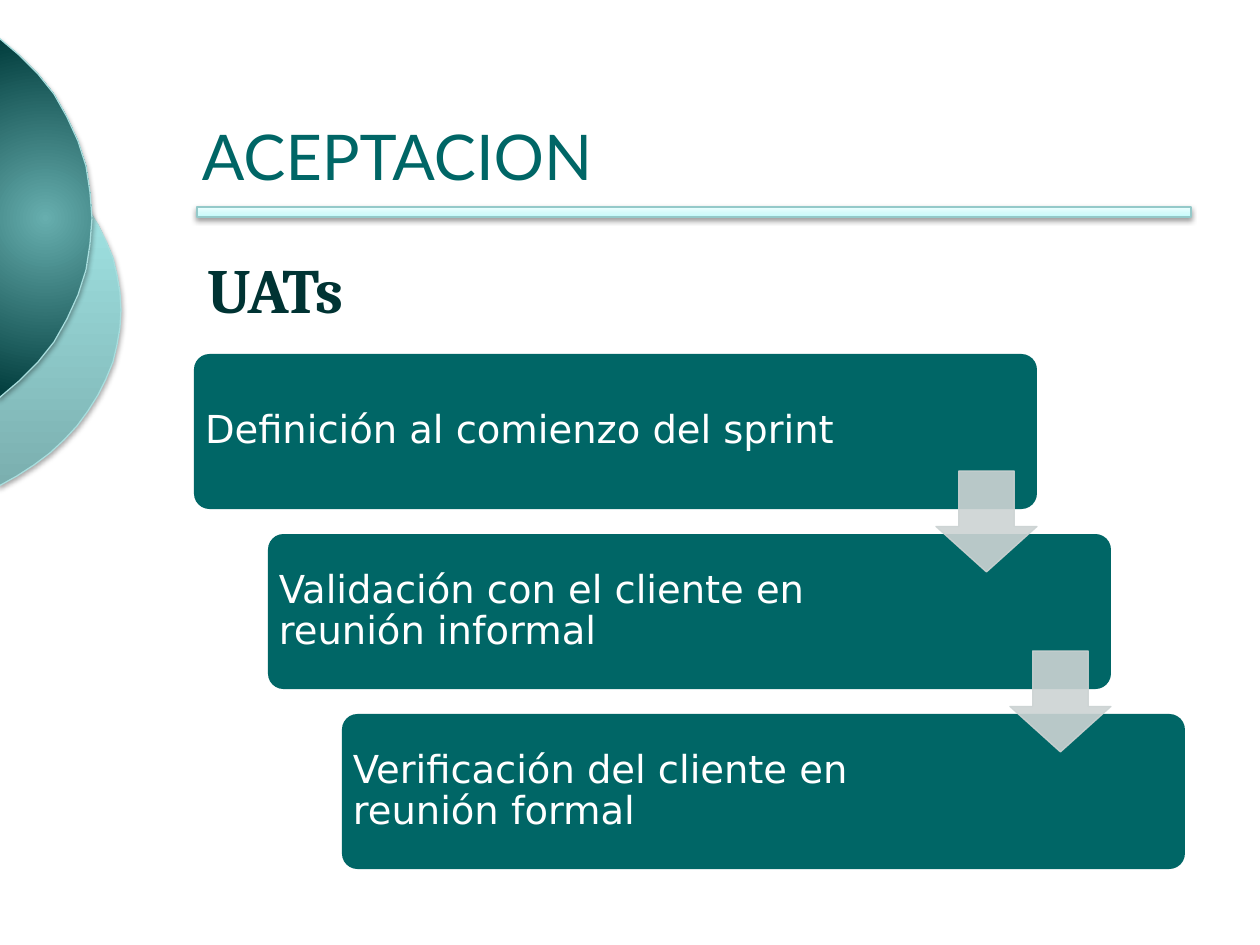
from dataclasses import dataclass
from math import asin, cos, sin

from lxml import etree
from pptx import Presentation
from pptx.dml.color import RGBColor
from pptx.enum.shapes import MSO_SHAPE
from pptx.enum.text import MSO_ANCHOR
from pptx.oxml.ns import qn
from pptx.util import Pt

RECT, ROUND, DOWN = MSO_SHAPE.RECTANGLE, MSO_SHAPE.ROUNDED_RECTANGLE, MSO_SHAPE.DOWN_ARROW
TOP, MID, LOW = MSO_ANCHOR.TOP, MSO_ANCHOR.MIDDLE, MSO_ANCHOR.BOTTOM
SCALE = 914400 / 126


@dataclass(frozen=True)
class Theme:
    teal: str = "006666"
    ink: str = "003333"
    white: str = "FFFFFF"
    gray: str = "CCD3D3"
    edge: str = "A8DEDE"
    rim: str = "94C9C9"
    shade: str = "000000"
    moon: tuple = ((0, "7BAFAF"), (80, "A0E3E3"), (100, "9FE5E5"))
    ball: tuple = ((0, "67AEAE"), (100, "003C3C"))
    rule: tuple = ((0, "C1FBFB"), (35, "D3FBFB"), (100, "EDFFFF"))
    head: int = 36
    body: int = 22
    thin: float = 0.75


THEME = Theme()
STEPS = (
    ("Definición al comienzo del sprint", 685),
    ("Validación con el cliente en reunión informal", 668),
    ("Verificación del cliente en reunión formal", 668),
)


def px(num):
    return round(num * SCALE)


def put(item, vals):
    for key, val in vals.items():
        setattr(item, key, val)


def node(base, tag, **vals):
    return etree.SubElement(base, qn(tag), {key: str(val) for key, val in vals.items()})


def paint(shape, fill, line=None):
    shape.shadow.inherit = False
    shape.fill.solid()
    shape.fill.fore_color.rgb = RGBColor.from_string(fill)
    if line:
        shape.line.color.rgb = RGBColor.from_string(line)
        shape.line.width = Pt(THEME.thin)
    else:
        shape.line.fill.background()


def blend(shape, stops, line, dark, round_fill=False):
    paint(shape, stops[0][1], line)
    props = shape._element.spPr
    grad = etree.Element(qn("a:gradFill"), rotWithShape="1")
    items = node(grad, "a:gsLst")
    for pos, color in stops:
        node(node(items, "a:gs", pos=pos * 1000), "a:srgbClr", val=color)
    if round_fill:
        way = node(grad, "a:path", path="circle")
        node(way, "a:fillToRect", l=50000, t=50000, r=50000, b=50000)
    else:
        node(grad, "a:lin", ang=16200000, scaled=0)
    props.replace(props.find(qn("a:solidFill")), grad)
    cast = node(props.find(qn("a:effectLst")), "a:outerShdw", blurRad=Pt(3.1),
                dist=Pt(1.7), dir=5400000, rotWithShape=0)
    node(node(cast, "a:srgbClr", val=THEME.shade), "a:alpha", val=dark * 1000)


def block(slide, kind, box, adjust=()):
    shape = slide.shapes.add_shape(kind, *map(px, box))
    for spot, val in enumerate(adjust):
        shape.adjustments[spot] = val
    return shape


def arc(slide, tip, mid, wide, high, count):
    left = -1
    half = asin((1 - ((left - tip + wide) / wide) ** 2) ** 0.5)
    turns = [half * (2 * step / count - 1) for step in range(count + 1)]
    dots = [(tip - wide + wide * cos(turn), mid + high * sin(turn)) for turn in turns]
    form = slide.shapes.build_freeform(*dots[0], scale=SCALE)
    form.add_line_segments(dots[1:], close=True)
    return form.convert_to_shape()


def label(slide, text, box, font, anchor, inset=(13, 6), para=None):
    frame = slide.shapes.add_textbox(*map(px, box)).text_frame
    side, edge = map(px, inset)
    put(frame, {"word_wrap": True, "vertical_anchor": anchor, "margin_left": side,
                "margin_right": side, "margin_top": edge, "margin_bottom": edge})
    line = frame.paragraphs[0]
    put(line, para or {})
    run = line.add_run()
    run.text = text
    color = font.pop("color")
    put(run.font, font)
    run.font.color.rgb = RGBColor.from_string(color)


def stairs(slide):
    for row, (text, wide) in enumerate(STEPS):
        left, top = 194 + 74 * row, 354 + 180 * row
        paint(block(slide, ROUND, (left, top, 843, 155), (0.1,)), THEME.teal)
        font = {"name": "DejaVu Sans", "size": Pt(THEME.body), "color": THEME.white}
        label(slide, text, (left, top, wide, 155), font, MID, (11, 11), {"line_spacing": 0.9})
    for row in range(len(STEPS) - 1):
        arrow = block(slide, DOWN, (936 + 74 * row, 471 + 180 * row, 101, 101), (0.45, 0.55))
        paint(arrow, THEME.gray, THEME.gray)
        put(arrow, {"name": f"Arrow {row + 1}"})
        arrow.adjustments[0], arrow.adjustments[1] = 0.55, 0.45
        for color in arrow._element.spPr.iter(qn("a:srgbClr")):
            node(color, "a:alpha", val=90000)


def main():
    deck = Presentation()
    put(deck, {"slide_width": px(1260), "slide_height": px(945)})
    slide = deck.slides.add_slide(deck.slide_layouts[6])
    blend(arc(slide, 121, 310, 252, 205, 24), THEME.moon, THEME.edge, 35)
    blend(arc(slide, 92, 218, 220, 220, 16), THEME.ball, THEME.edge, 35, True)
    blend(block(slide, RECT, (197, 207, 994, 10)), THEME.rule, THEME.rim, 38)
    label(slide, "ACEPTACION", (189, 42, 1042, 157),
          {"name": "Lato", "size": Pt(THEME.head), "color": THEME.teal}, LOW)
    label(slide, "UATs", (194, 244, 929, 69),
          {"name": "Cambria", "size": Pt(THEME.head), "bold": True, "color": THEME.ink},
          TOP, para={"space_before": Pt(16)})
    stairs(slide)
    deck.save("out.pptx")


if __name__ == "__main__":
    main()
